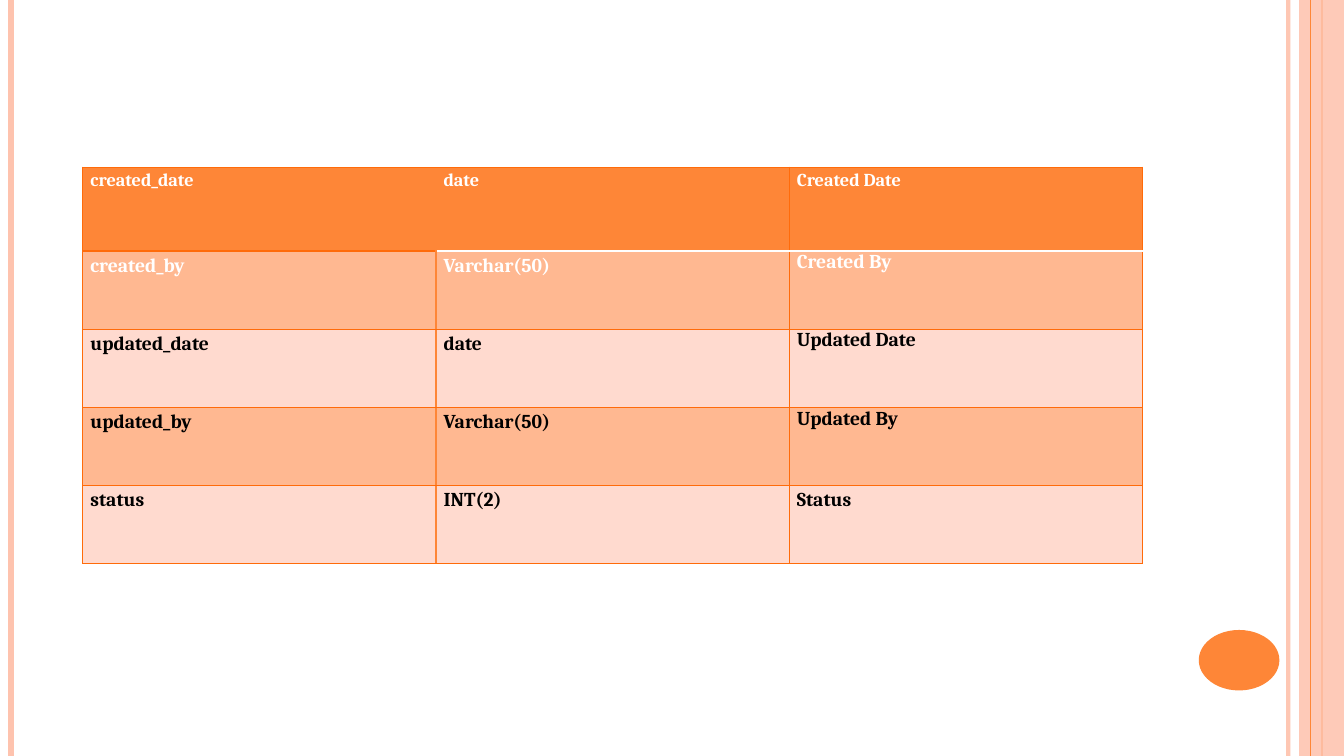
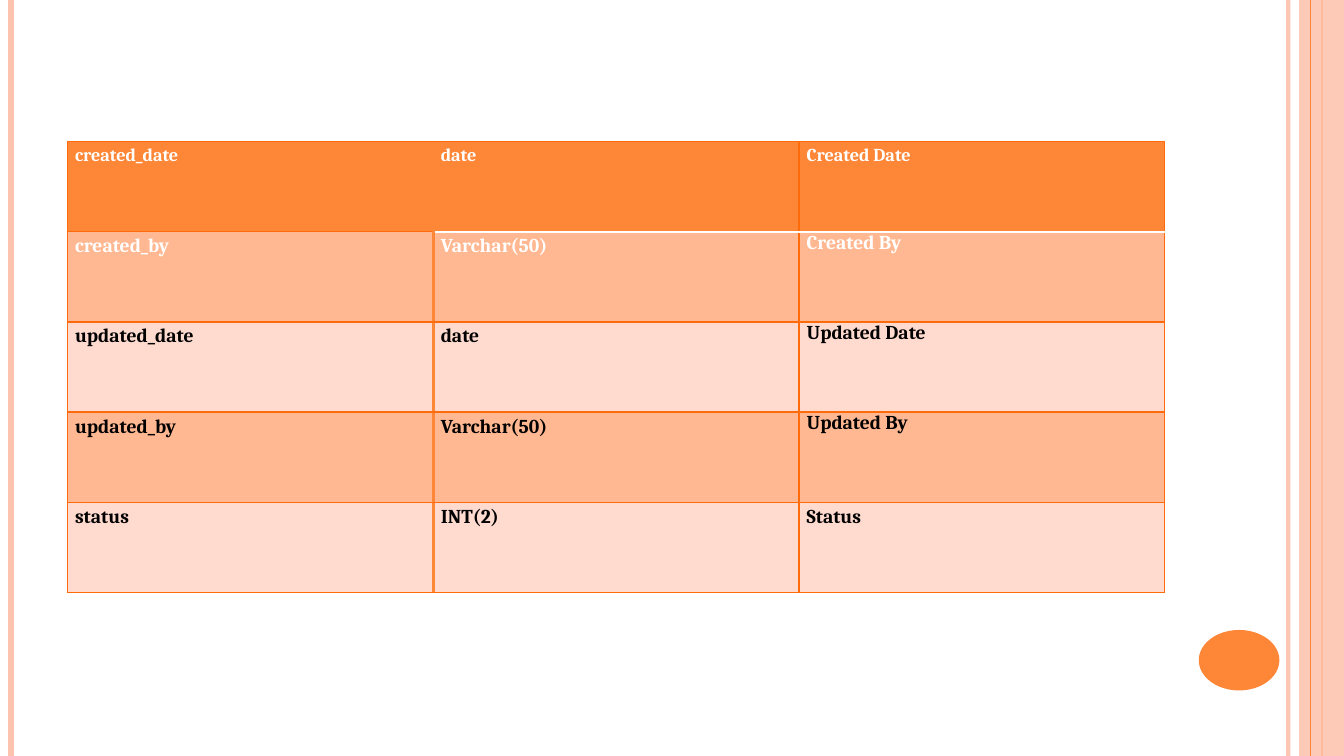
"""Build two slides that list the audit columns of a database table."""
from lxml import etree
from pptx import Presentation
from pptx.dml.color import RGBColor
from pptx.enum.shapes import MSO_CONNECTOR, MSO_SHAPE
from pptx.oxml.ns import qn
from pptx.util import Pt

STRAIGHT = MSO_CONNECTOR.STRAIGHT
RECTANGLE, OVAL = MSO_SHAPE.RECTANGLE, MSO_SHAPE.OVAL
ORANGE = RGBColor(0xFE, 0x86, 0x37)
RULE_ORANGE = RGBColor(0xFF, 0x6B, 0x0A)
PEACH = RGBColor(0xFE, 0xC3, 0xAE)
DARK_BAND = RGBColor(0xFF, 0xB8, 0x91)
LIGHT_BAND = RGBColor(0xFF, 0xDA, 0xCF)
WHITE = RGBColor(0xFF, 0xFF, 0xFF)
BLACK = RGBColor(0, 0, 0)
FONT = "Cambria"
WIDTH, HEIGHT = 960, 540

FIELDS = [
    ("created_date", "date", "Created Date"),
    ("created_by", "Varchar(50)", "Created By"),
    ("updated_date", "date", "Updated Date"),
    ("updated_by", "Varchar(50)", "Updated By"),
    ("status", "INT(2)", "Status"),
]
TABLES = [
    {"left": 59.2, "top": 119.5, "column": 252.3, "header": 59.8, "row": 55.85},
    {"left": 48.2, "top": 101.2, "column": 261.3, "header": 64.4, "row": 64.4},
]


def write(frame, text, *, size, color, spacing):
    paragraph = frame.paragraphs[0]
    paragraph.line_spacing = spacing
    run = paragraph.add_run()
    run.text = text
    run.font.name = FONT
    run.font.size = Pt(size)
    run.font.bold = True
    run.font.color.rgb = color


def add_border(cell, side, color, width):
    edge = etree.SubElement(cell._tc.get_or_add_tcPr(), qn(f"a:ln{side}"), w=str(Pt(width)))
    if color is None:
        etree.SubElement(edge, qn("a:noFill"))
    else:
        fill = etree.SubElement(edge, qn("a:solidFill"))
        etree.SubElement(fill, qn("a:srgbClr"), val=str(color))


prs = Presentation()
prs.slide_width, prs.slide_height = Pt(WIDTH), Pt(HEIGHT)
layout = prs.slide_layouts[6]
slides = [prs.slides.add_slide(layout) for _ in TABLES]

canvas = slides[0].shapes
stripes = []
for x, color, weight in [(920.2, PEACH, 3), (8, PEACH, 4.5), (944, ORANGE, 1.5), (936, ORANGE, 0.75)]:
    stripe = canvas.add_connector(STRAIGHT, Pt(x), 0, Pt(x), Pt(HEIGHT))
    stripe.line.color.rgb = color
    stripe.line.width = Pt(weight)
    etree.SubElement(stripe.element.spPr, qn("a:effectLst"))
    stripes.append(stripe)

solids = []
for kind, color, box in [(RECTANGLE, PEACH, (928, 0, 32, HEIGHT)), (OVAL, ORANGE, (856.3, 450, 57.6, 43.2))]:
    solid = canvas.add_shape(kind, *map(Pt, box))
    solid.shadow.inherit = False
    solid.fill.solid()
    solid.fill.fore_color.rgb = color
    solid.line.fill.background()
    solids.append(solid)

band, badge = solids
for part, opacity in [(stripes[0], 93), (band, 87)]:
    tint = next(part.element.iter(qn("a:srgbClr")))
    etree.SubElement(tint, qn("a:alpha"), val=str(opacity * 1000))

for part in [*stripes[:3], band, stripes[3], badge]:
    layout.shapes.element.append(part.element)

for slide, place in zip(slides, TABLES):
    rows, columns = len(FIELDS), len(FIELDS[0])
    total_height = place["header"] + (rows - 1) * place["row"]
    table = slide.shapes.add_table(
        rows, columns, Pt(place["left"]), Pt(place["top"]),
        Pt(columns * place["column"]), Pt(total_height)).table
    table.horz_banding = False
    for column in table.columns:
        column.width = Pt(place["column"])
    for r, field in enumerate(FIELDS):
        header = r == 0
        table.rows[r].height = Pt(place["header"] if header else place["row"])
        for c, text in enumerate(field):
            cell = table.cell(r, c)
            cell.margin_left = cell.margin_right = Pt(5.4)
            cell.margin_top = cell.margin_bottom = 0
            borders = {side: (RULE_ORANGE, 1) for side in "LRTB"}
            if c < 2:
                inner = (None, 1) if header else (ORANGE, 2)
                borders["R" if c == 0 else "L"] = inner
            if c > 0 and r < 2:
                borders["B" if header else "T"] = (WHITE, 2)
            for side, (color, width) in borders.items():
                add_border(cell, side, color, width)
            cell.fill.solid()
            cell.fill.fore_color.rgb = ORANGE if header else DARK_BAND if r % 2 else LIGHT_BAND
            write(cell.text_frame, text,
                  size=13 if header else 14,
                  color=WHITE if r < 2 else BLACK,
                  spacing=1.0 if c == 2 and 0 < r < rows - 1 else 1.15)

prs.save("out.pptx")
